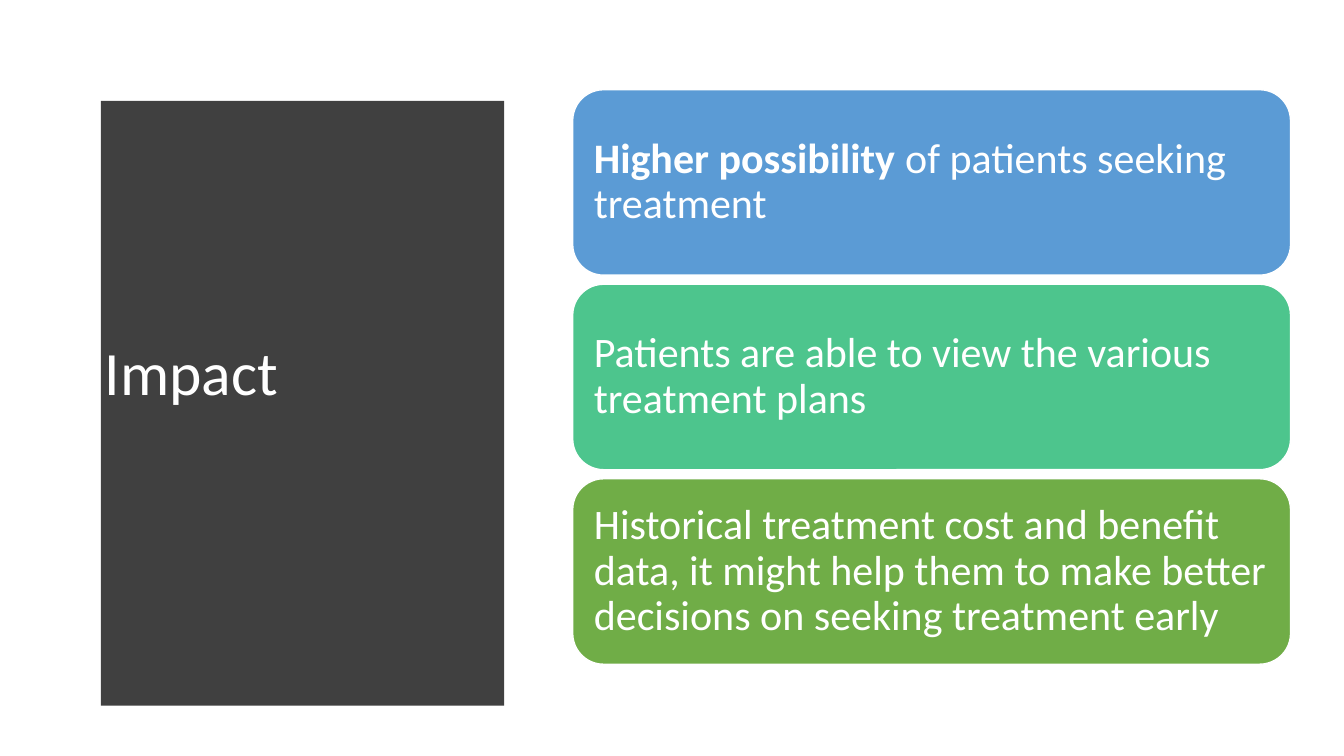
import pptx
import pptx.dml.color
import pptx.enum.shapes
import pptx.enum.text
import pptx.util
from dataclasses import dataclass

Inches = pptx.util.Inches
Pt = pptx.util.Pt


@dataclass(frozen=True)
class Theme:
    font: str = "Calibri"
    white: str = "FFFFFF"
    panel: str = "404040"
    blue: str = "5B9BD5"
    teal: str = "4DC58D"
    green: str = "70AD47"
    title_size: int = 44
    card_size: int = 30
    line_spacing: float = 0.9


class SlideBuilder:
    """Draw styled elements on one slide."""

    def __init__(self, deck, theme):
        self.theme = theme
        self.page = deck.slides.add_slide(deck.slide_layouts[5])

    def paint(self, shape, color):
        shape.shadow.inherit = False
        shape.fill.solid()
        shape.fill.fore_color.rgb = pptx.dml.color.RGBColor.from_string(color)

    def add_text(self, shape, runs, size):
        frame = shape.text_frame
        frame.word_wrap = True
        frame.auto_size = pptx.enum.text.MSO_AUTO_SIZE.NONE
        frame.vertical_anchor = pptx.enum.text.MSO_ANCHOR.MIDDLE
        para = frame.paragraphs[0]
        para.alignment = pptx.enum.text.PP_ALIGN.LEFT
        para.line_spacing = self.theme.line_spacing
        for text, bold in runs:
            span = para.add_run()
            span.text = text
            span.font.name = self.theme.font
            span.font.size = Pt(size)
            span.font.bold = bold
            span.font.color.rgb = pptx.dml.color.RGBColor.from_string(self.theme.white)

    def curved_panel(self, left, top, right, bottom, bulge, steps=40):
        middle = (top + bottom) / 2
        half = (bottom - top) / 2
        edge = []
        for step in range(steps + 1):
            offset = 2 * step / steps - 1
            edge.append((right + bulge * (1 - offset ** 2), middle + half * offset))
        outline = self.page.shapes.build_freeform(left, top, scale=Inches(1))
        outline.add_line_segments(edge + [(left, bottom)], close=True)
        panel = outline.convert_to_shape()
        self.paint(panel, self.theme.panel)
        panel.line.fill.background()

    def title(self, text, left, top, width, height):
        title = self.page.shapes.title
        title.left, title.top = Inches(left), Inches(top)
        title.width, title.height = Inches(width), Inches(height)
        self.add_text(title, [(text, False)], self.theme.title_size)
        title.element.getparent().append(title.element)

    def card(self, runs, color, left, top, width, height):
        box = self.page.shapes.add_shape(
            pptx.enum.shapes.MSO_SHAPE.ROUNDED_RECTANGLE,
            Inches(left), Inches(top), Inches(width), Inches(height))
        self.paint(box, color)
        box.line.color.rgb = pptx.dml.color.RGBColor.from_string(self.theme.white)
        box.line.width = Pt(1)
        frame = box.text_frame
        frame.margin_left = frame.margin_right = Inches(0.12)
        frame.margin_top = frame.margin_bottom = Inches(0.12)
        self.add_text(box, runs, self.theme.card_size)


def main():
    theme = Theme()
    deck = pptx.Presentation()
    deck.slide_width, deck.slide_height = Inches(13.33), Inches(7.5)
    builder = SlideBuilder(deck, theme)
    builder.curved_panel(left=0.53, top=0.52, right=5.08, bottom=6.96, bulge=0.24)
    builder.title("Impact", 0.94, 1.11, 3.74, 5.24)
    impacts = [
        ([("Higher possibility ", True), ("of patients seeking treatment", False)], theme.blue),
        ([("Patients are able to view the various treatment plans", False)], theme.teal),
        ([("Historical treatment cost and benefit data, it might help them to make "
           "better decisions on seeking treatment early", False)], theme.green),
    ]
    for index, (runs, color) in enumerate(impacts):
        builder.card(runs, color, 5.68, 0.89 + 1.93 * index, 7.12, 1.84)
    deck.save("out.pptx")


if __name__ == "__main__":
    main()
